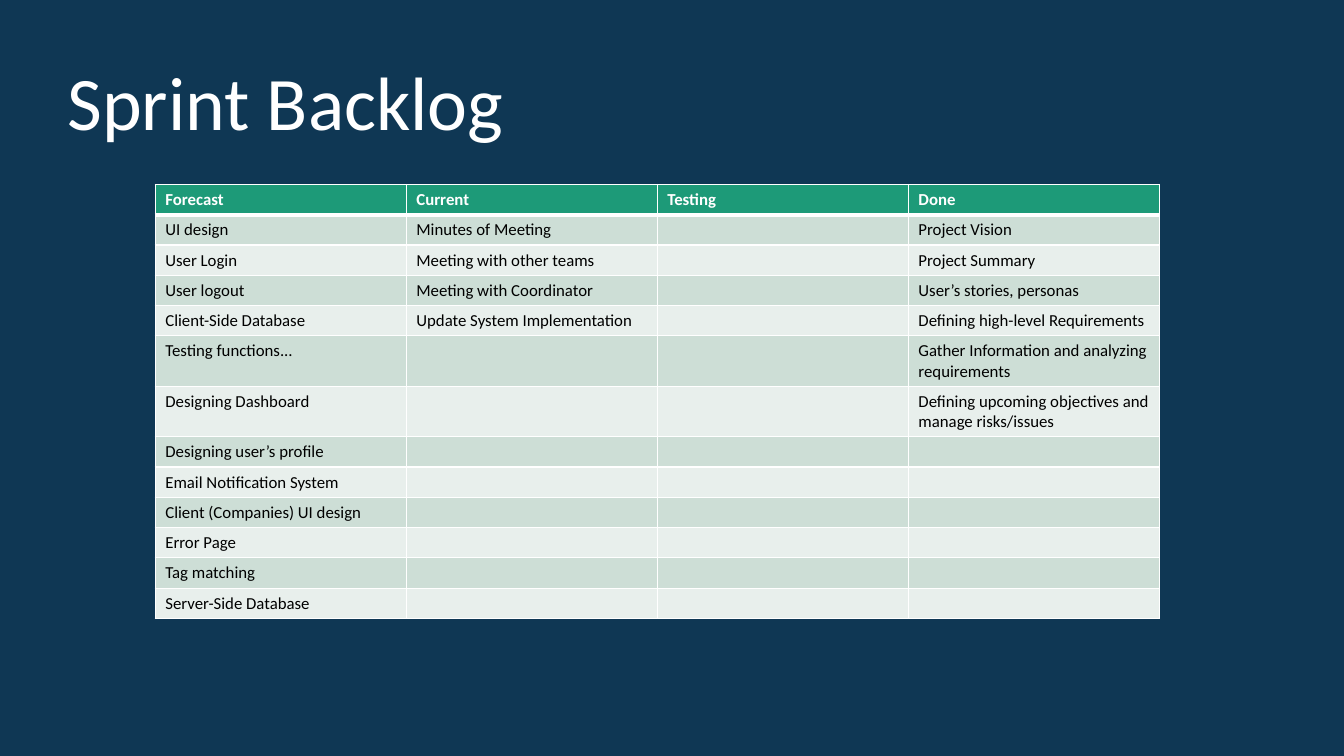
from dataclasses import dataclass
from itertools import zip_longest

from lxml import etree
from pptx import Presentation, util as u
from pptx.dml.color import RGBColor as Rgb
from pptx.enum import text
from pptx.oxml import ns
from pptx.slide import Slide
from pptx.table import _Cell as Cell


@dataclass(frozen=True)
class Theme:
    back: str = "0F3754"
    head: str = "1D9A78"
    bands: tuple[str, str] = ("CDDED6", "E8EFEC")
    light: str = "FFFFFF"
    dark: str = "000000"
    face: str = "Calibri"
    title: int = 54
    body: int = 12
    thin: int = 1
    thick: int = 3


@dataclass(frozen=True)
class Lane:
    name: str
    tasks: tuple[str, ...] = ()


@dataclass(frozen=True)
class Box:
    left: float
    top: float
    width: float
    height: float


THEME = Theme()
WIDE, HIGH = 13.33, 7.5
TITLE = Box(0.57, 0.49, 10.42, 1.01)
BOARD = Box(1.54, 1.83, 9.96, 4.3)
ROW, TALL = 0.3, 0.5
WRAP = 30  # longest task, in letters, that is sure to fit one line
TALL_AT = 32

LANES = (
    Lane("Forecast", (
        "UI design", "User Login", "User logout", "Client-Side Database",
        "Testing functions...", "Designing Dashboard",
        "Designing user’s profile", "Email Notification System",
        "Client (Companies) UI design", "Error Page", "Tag matching",
        "Server-Side Database")),
    Lane("Current", (
        "Minutes of Meeting", "Meeting with other teams",
        "Meeting with Coordinator", "Update System Implementation")),
    Lane("Testing"),
    Lane("Done", (
        "Project Vision", "Project Summary", "User’s stories, personas",
        "Defining high-level Requirements",
        "Gather Information and analyzing requirements",
        "Defining upcoming objectives and manage risks/issues")),
)


def style(para, size: int, color: str, bold: bool = False) -> None:
    font = para.font
    font.name, font.size, font.bold = THEME.face, u.Pt(size), bold
    font.color.rgb = Rgb.from_string(color)


def edge(cell: Cell, side: str, width: int) -> None:
    """Draw one cell border; side is L, R, T or B."""
    props = cell._tc.get_or_add_tcPr()
    line = etree.Element(ns.qn(f"a:ln{side}"), w=str(u.Pt(width)))
    fill = etree.SubElement(line, ns.qn("a:solidFill"))
    etree.SubElement(fill, ns.qn("a:srgbClr"), val=THEME.light)
    props.insert("LRTB".index(side), line)


def fill_cell(cell: Cell, words: str, row: int) -> None:
    head = row == 0
    cell.text = words
    style(cell.text_frame.paragraphs[0], THEME.body,
          THEME.light if head else THEME.dark, head)
    for side in "LRTB":
        joint = (row, side) in ((0, "B"), (1, "T"))
        edge(cell, side, THEME.thick if joint else THEME.thin)
    cell.fill.solid()
    color = THEME.head if head else THEME.bands[(row - 1) % 2]
    cell.fill.fore_color.rgb = Rgb.from_string(color)


def add_title(slide: Slide, words: str) -> None:
    title = slide.shapes.title
    title.left, title.top = u.Inches(TITLE.left), u.Inches(TITLE.top)
    title.width, title.height = u.Inches(TITLE.width), u.Inches(TITLE.height)
    frame = title.text_frame
    frame.text = words
    frame.word_wrap = True
    frame.auto_size = text.MSO_AUTO_SIZE.SHAPE_TO_FIT_TEXT
    para = frame.paragraphs[0]
    para.alignment = text.PP_ALIGN.LEFT
    style(para, THEME.title, THEME.light)


def add_board(slide: Slide, lanes: tuple[Lane, ...]) -> None:
    rows = [tuple(lane.name for lane in lanes)]
    rows += zip_longest(*(lane.tasks for lane in lanes), fillvalue="")
    area = (u.Inches(n) for n in
            (BOARD.left, BOARD.top, BOARD.width, BOARD.height))
    table = slide.shapes.add_table(len(rows), len(lanes), *area).table
    for r, row in enumerate(rows):
        tall = max(map(len, row)) > TALL_AT
        table.rows[r].height = u.Inches(TALL if tall else ROW)
        for c, words in enumerate(row):
            fill_cell(table.cell(r, c), words, r)


def main() -> None:
    deck = Presentation()
    deck.slide_width, deck.slide_height = u.Inches(WIDE), u.Inches(HIGH)
    slide = deck.slides.add_slide(deck.slide_layouts[5])
    back = slide.background.fill
    back.solid()
    back.fore_color.rgb = Rgb.from_string(THEME.back)
    add_title(slide, "Sprint Backlog")
    add_board(slide, LANES)
    deck.save("out.pptx")


if __name__ == "__main__":
    main()
